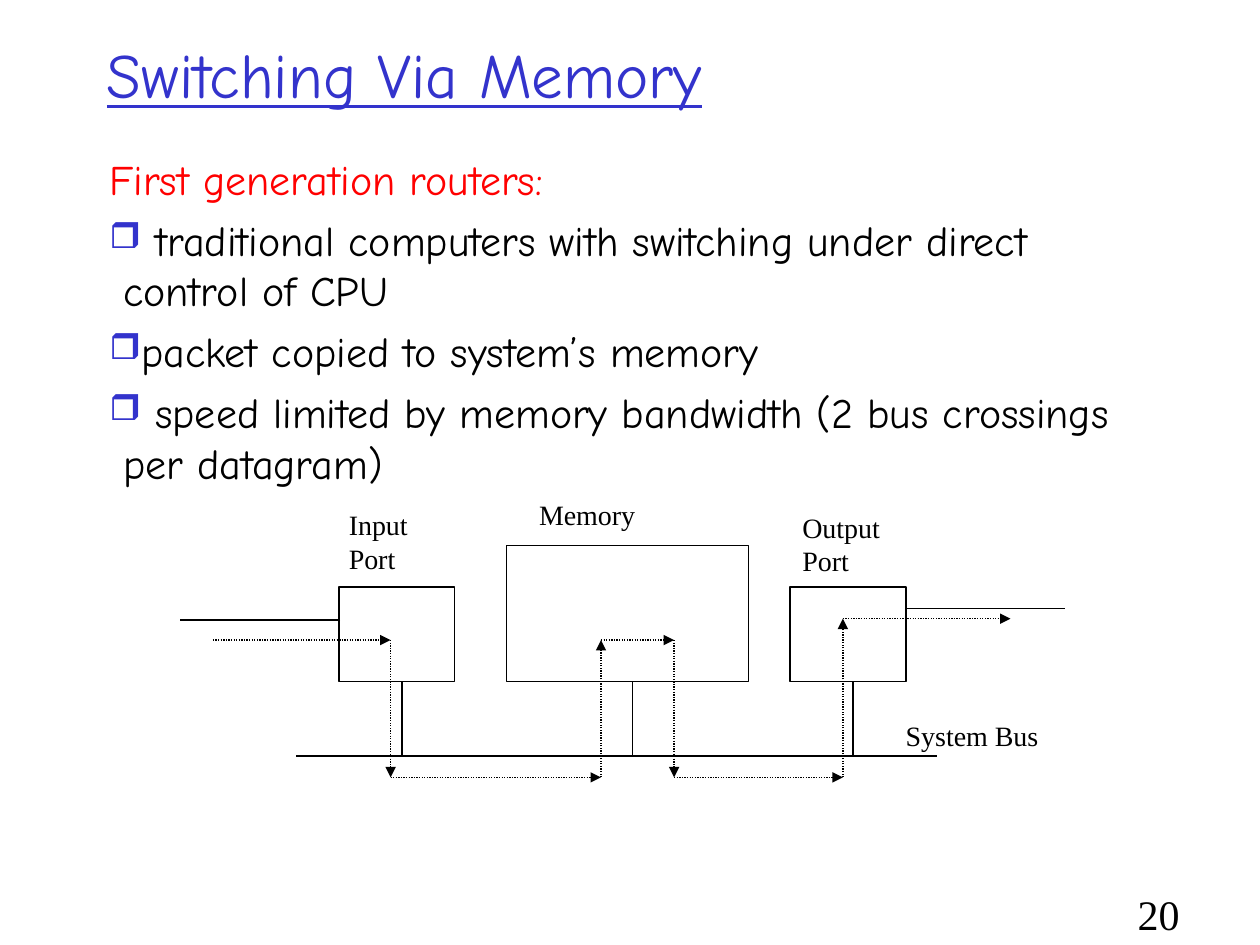
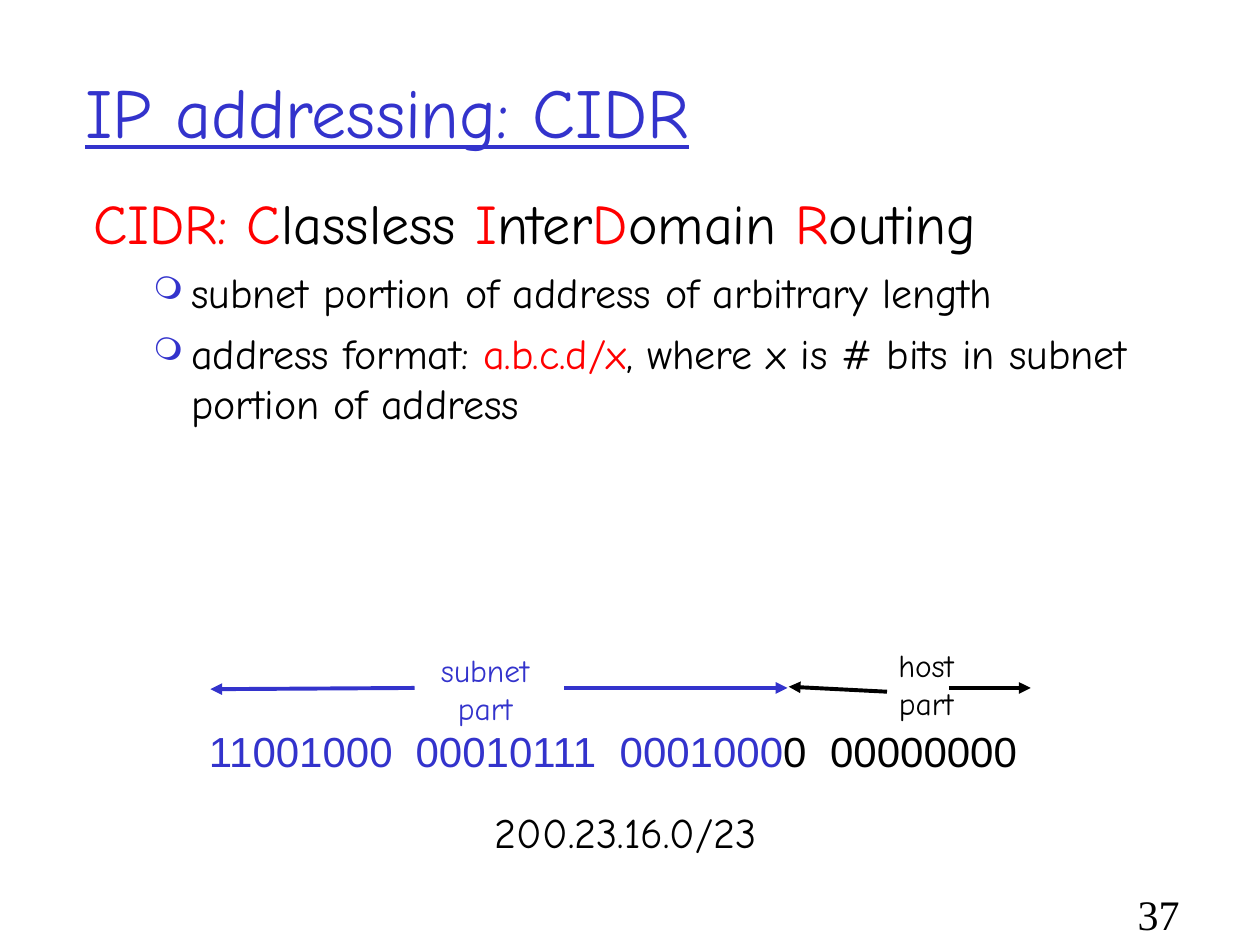
from lxml import etree
from pptx import Presentation
from pptx import util as u
from pptx.dml import color
from pptx.enum import dml, shapes, text
from pptx.oxml import ns

COLORS = {"title": "3333CC", "accent": "FF0000", "text": "000000"}
COMIC, SERIF, SANS = "Comic Neue", "Times New Roman", "Arial"

STYLES = {
    "title": {"name": COMIC, "size": u.Pt(36), "underline": True},
    "large title": {"name": COMIC, "size": u.Pt(40), "underline": True},
    "heading": {"name": COMIC, "size": u.Pt(32)},
    "body": {"name": COMIC, "size": u.Pt(24)},
    "part": {"name": COMIC, "size": u.Pt(18)},
    "bits": {"name": SANS, "size": u.Pt(24)},
    "label": {"name": SERIF, "size": u.Pt(16)},
    "number": {"name": SERIF, "size": u.Pt(24)},
}

SQUARE = {"char": "❒", "percent": 85}
CIRCLE = {"char": "❍", "percent": 75}
ROUTER_INDENT = {"margin": 0.13, "indent": -0.11}
CIDR_INDENT = {"margin": 0.38, "indent": -0.36}
DETAIL = {"style": "body", "level": 1, "margin": 0.8, "indent": -0.3,
          "before": 6, "bullet": CIRCLE}

ROUTER_POINTS = [
    " traditional computers with switching under direct control of CPU",
    "packet copied to system’s memory",
    " speed limited by memory bandwidth (2 bus crossings per datagram)",
]
ROUTER_BODY = [([("First generation routers:", "accent")], ROUTER_INDENT)] + [
    ([(point, "text")], {**ROUTER_INDENT, "before": 6, "bullet": SQUARE})
    for point in ROUTER_POINTS
]
UNITS = [
    (2.69, 4.66, 0.92, 0.75),
    (6.27, 4.66, 0.92, 0.75),
    (4.02, 4.33, 1.92, 1.08),
]
UNIT_BOTTOM, BUS_Y = 5.41, 6
BUS = ((2.35, BUS_Y), (7.44, BUS_Y))
BUS_DROPS = [3.19, 5.02, 6.77]
LINKS = [((2.7, 4.92), (1.43, 4.92)), ((8.45, 4.83), (7.18, 4.83))]
IN_Y, UNDER_BUS_Y, OUT_Y = 5.08, 6.17, 4.91
PACKET_ROUTE = [
    (1.69, IN_Y), (3.1, IN_Y), (3.1, UNDER_BUS_Y), (4.77, UNDER_BUS_Y),
    (4.77, IN_Y), (5.35, IN_Y), (5.35, UNDER_BUS_Y), (6.69, UNDER_BUS_Y),
    (6.69, OUT_Y), (8.02, OUT_Y),
]
UNIT_LABELS = [
    (["Input", "Port"], (2.67, 3.98, 0.9, 0.64)),
    (["Output", "Port"], (6.27, 4, 1, 0.64)),
    (["Memory"], (4.18, 3.9, 1.2, 0.37)),
    (["System Bus"], (7.09, 5.65, 1.5, 0.37)),
]

CIDR_NAME = [
    ("CIDR: C", "accent"), ("lassless ", "text"), ("I", "accent"),
    ("nter", "text"), ("D", "accent"), ("omain ", "text"),
    ("R", "accent"), ("outing", "text"),
]
CIDR_BODY = [
    (CIDR_NAME, {**CIDR_INDENT, "style": "heading"}),
    ([("subnet portion of address of arbitrary length", "text")], DETAIL),
    ([("address format: ", "text"), ("a.b.c.d/x", "accent"),
      (", where x is # bits in subnet portion of address", "text")], DETAIL),
]
ADDRESS_BITS = [("11001000\t00010111\t0001000", "title"), ("0\t00000000", "text")]
OCTET_STOPS = [1.64, 3.26, 4.93]
PART_LABELS = [
    (["subnet", "part"], "title", (3.3, 5.12, 1.1, 0.7)),
    (["host", "part"], "text", (6.93, 5.08, 0.84, 0.7)),
]
PART_ARROWS = [
    ((4.48, 5.46), (6.25, 5.46), "title"),
    ((3.29, 5.46), (1.67, 5.47), "title"),
    ((7.04, 5.49), (6.26, 5.45), "text"),
    ((7.53, 5.46), (8.18, 5.46), "text"),
]


def rgb(key):
    return color.RGBColor.from_string(COLORS[key])


def add_element(parent, tag, **attributes):
    return etree.SubElement(parent, ns.qn(tag), attributes)


def format_paragraph(paragraph, layout):
    properties = paragraph._p.get_or_add_pPr()
    for attribute, key in (("marL", "margin"), ("indent", "indent")):
        if key in layout:
            properties.set(attribute, str(int(u.Inches(layout[key]))))
    if "bullet" in layout:
        bullet = layout["bullet"]
        add_element(add_element(properties, "a:buClr"), "a:srgbClr", val=COLORS["title"])
        add_element(properties, "a:buSzPct", val=str(bullet["percent"] * 1000))
        add_element(properties, "a:buChar", char=bullet["char"])
    if "stops" in layout:
        stops = add_element(properties, "a:tabLst")
        for stop in layout["stops"]:
            add_element(stops, "a:tab", pos=str(int(u.Inches(stop))), algn="l")
    paragraph.level = layout.get("level", 0)
    paragraph.space_before = u.Pt(layout.get("before", 0))
    paragraph.alignment = layout.get("align", text.PP_ALIGN.LEFT)


def add_text(slide, box, paragraphs, style, anchor=text.MSO_ANCHOR.TOP):
    frame = slide.shapes.add_textbox(*map(u.Inches, box)).text_frame
    frame.word_wrap = True
    frame.vertical_anchor = anchor
    for index, (runs, layout) in enumerate(paragraphs):
        paragraph = frame.add_paragraph() if index else frame.paragraphs[0]
        format_paragraph(paragraph, layout)
        for words, color_key in runs:
            run = paragraph.add_run()
            run.text = words
            for attribute, value in STYLES[layout.get("style", style)].items():
                setattr(run.font, attribute, value)
            run.font.color.rgb = rgb(color_key)


def add_label(slide, box, lines, style, color_key="text", **layout):
    add_text(slide, box, [([(line, color_key)], layout) for line in lines], style)


def add_line(slide, start, end, color_key="text", width=0.75, dotted=False, arrow=False):
    connector = slide.shapes.add_connector(
        shapes.MSO_CONNECTOR.STRAIGHT, *map(u.Inches, (*start, *end)))
    connector.line.color.rgb = rgb(color_key)
    connector.line.width = u.Pt(width)
    if dotted:
        connector.line.dash_style = dml.MSO_LINE.ROUND_DOT
    if arrow:
        add_element(connector.line._get_or_add_ln(), "a:tailEnd", type="triangle")
    add_element(connector._element.spPr, "a:effectLst")


def add_unit(slide, box):
    shape = slide.shapes.add_shape(shapes.MSO_SHAPE.RECTANGLE, *map(u.Inches, box))
    shape.shadow.inherit = False
    shape.fill.background()
    shape.line.color.rgb = rgb("text")
    shape.line.width = u.Pt(0.75)


def add_slide(presentation, title, title_box, title_style, number):
    slide = presentation.slides.add_slide(presentation.slide_layouts[6])
    add_text(slide, title_box, [([(title, "title")], {})], title_style,
             anchor=text.MSO_ANCHOR.MIDDLE)
    add_text(slide, (8.93, 7, 0.73, 0.5), [([(number, "text")], {})], "number")
    return slide


def build_memory_slide(presentation):
    slide = add_slide(presentation, "Switching Via Memory",
                      (0.75, 0.23, 8.5, 0.7), "title", "20")
    add_text(slide, (0.75, 1.17, 8.58, 2.75), ROUTER_BODY, "body")
    for box in UNITS:
        add_unit(slide, box)
    drops = [((x, UNIT_BOTTOM), (x, BUS_Y)) for x in BUS_DROPS]
    for start, end in [BUS, *drops, *LINKS]:
        add_line(slide, start, end)
    for start, end in zip(PACKET_ROUTE, PACKET_ROUTE[1:]):
        add_line(slide, start, end, dotted=True, arrow=True)
    for lines, box in UNIT_LABELS:
        add_label(slide, box, lines, "label")


def build_cidr_slide(presentation):
    slide = add_slide(presentation, "IP addressing: CIDR",
                      (0.58, 0.25, 8.5, 1.25), "large title", "37")
    add_text(slide, (0.62, 1.45, 8.87, 3.47), CIDR_BODY, "body")
    add_text(slide, (1.56, 5.71, 6.69, 0.5),
             [(ADDRESS_BITS, {"stops": OCTET_STOPS})], "bits")
    for lines, color_key, box in PART_LABELS:
        add_label(slide, box, lines, "part", color_key, align=text.PP_ALIGN.CENTER)
    for start, end, color_key in PART_ARROWS:
        add_line(slide, start, end, color_key, width=2.25, arrow=True)
    add_label(slide, (3.83, 6.35, 2.5, 0.5), ["200.23.16.0/23"], "body")


def main():
    presentation = Presentation()
    presentation.slide_width = u.Inches(10)
    presentation.slide_height = u.Inches(7.5)
    build_memory_slide(presentation)
    build_cidr_slide(presentation)
    presentation.save("out.pptx")


if __name__ == "__main__":
    main()
